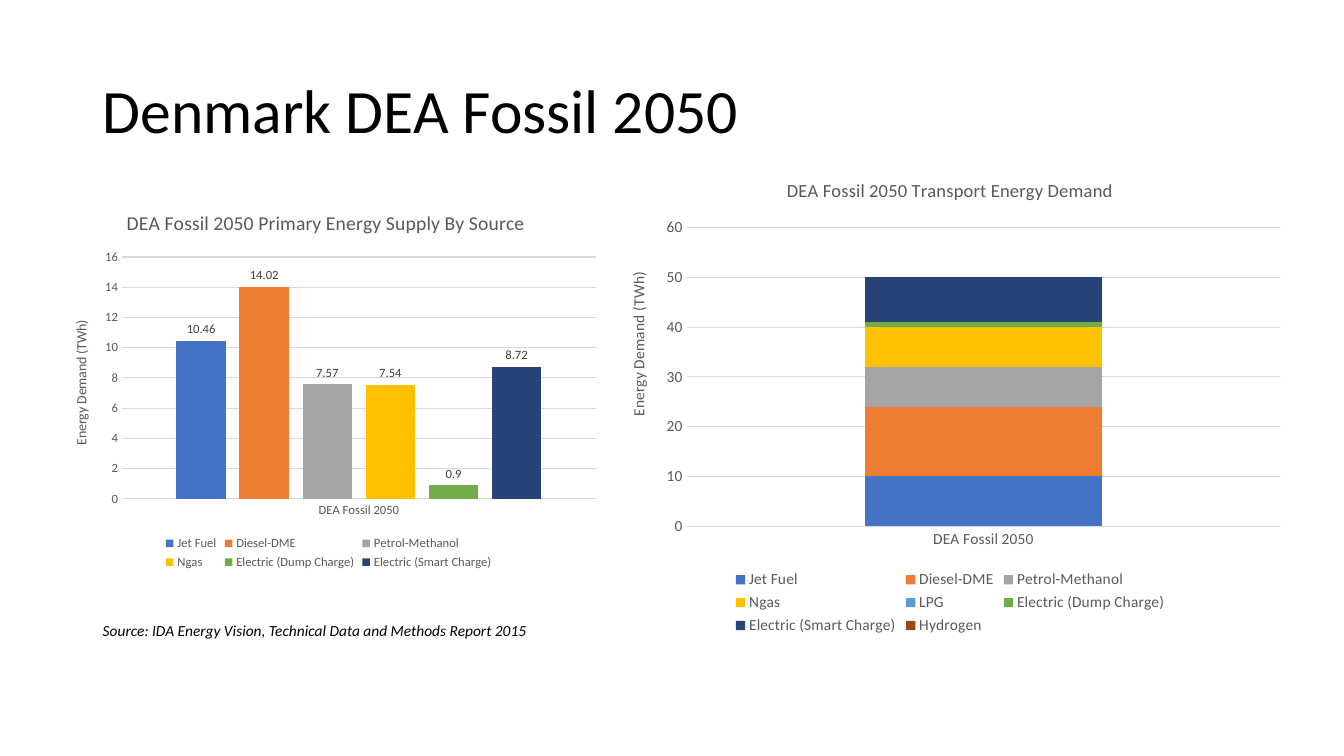
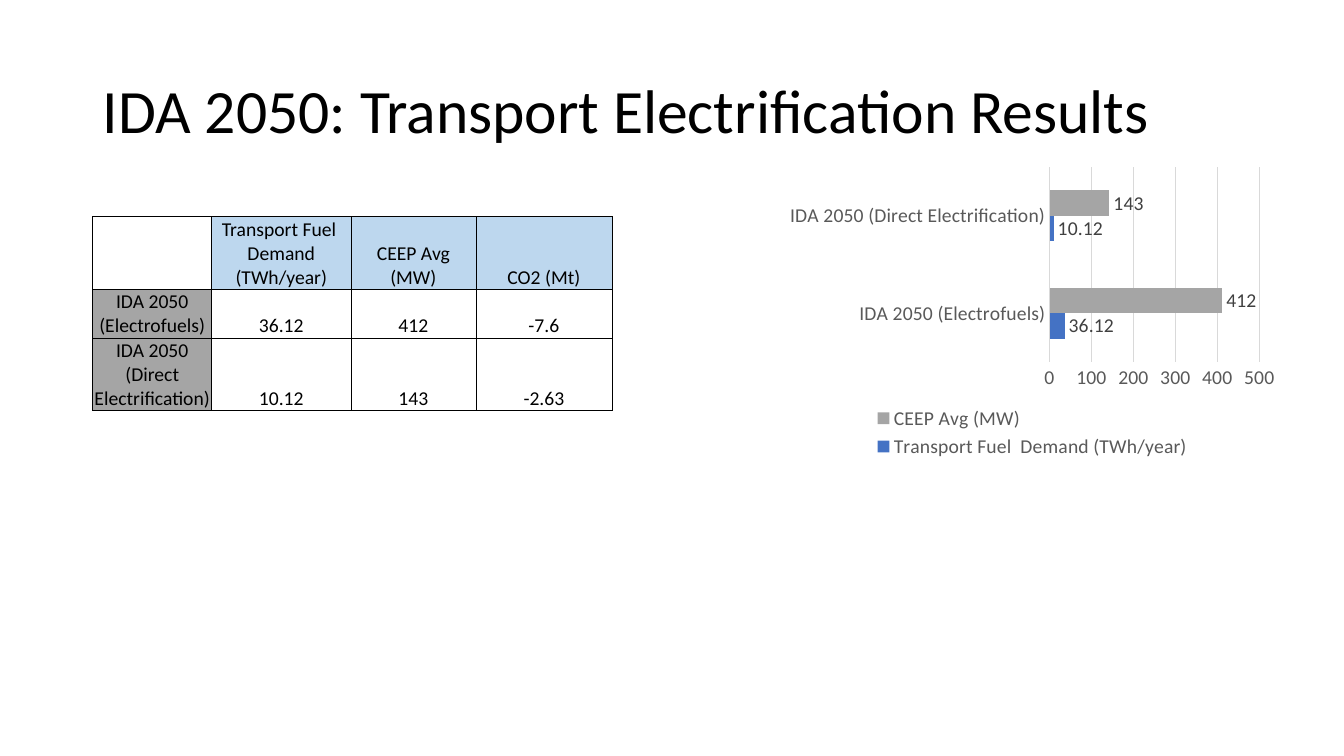
"""Build two slides on Danish transport energy scenarios for 2050."""
from lxml import etree
from pptx import Presentation
from pptx.chart.data import CategoryChartData
from pptx.dml.color import RGBColor
from pptx.enum.chart import XL_CHART_TYPE as ChartType
from pptx.enum.chart import XL_LABEL_POSITION as LabelPos
from pptx.enum.chart import XL_LEGEND_POSITION as LegendPos
from pptx.enum.chart import XL_TICK_MARK as TickMark
from pptx.enum.text import MSO_ANCHOR as Anchor
from pptx.enum.text import MSO_AUTO_SIZE as AutoSize
from pptx.enum.text import PP_ALIGN as Align
from pptx.oxml import parse_xml
from pptx.oxml.ns import nsdecls, qn
from pptx.util import Inches, Pt

FONT = "Calibri"
BLACK = RGBColor(0x00, 0x00, 0x00)
AXIS_TEXT = RGBColor(0x59, 0x59, 0x59)
LABEL_TEXT = RGBColor(0x40, 0x40, 0x40)
GRID = RGBColor(0xD9, 0xD9, 0xD9)
HEADER_BLUE = RGBColor(0xBD, 0xD7, 0xEE)
GRAY = RGBColor(0xA5, 0xA5, 0xA5)
BLUE = RGBColor(0x44, 0x72, 0xC4)
FUEL_COLORS = {
    "Jet Fuel": BLUE,
    "Diesel-DME": RGBColor(0xED, 0x7D, 0x31),
    "Petrol-Methanol": GRAY,
    "Ngas": RGBColor(0xFF, 0xC0, 0x00),
    "LPG": RGBColor(0x5B, 0x9B, 0xD5),
    "Electric (Dump Charge)": RGBColor(0x70, 0xAD, 0x47),
    "Electric (Smart Charge)": RGBColor(0x26, 0x44, 0x78),
    "Hydrogen": RGBColor(0x9E, 0x48, 0x0E),
}

FOSSIL_TITLE = "Denmark DEA Fossil 2050"
SOURCE = "Source: IDA Energy Vision, Technical Data and Methods Report 2015"
SCENARIO = ["DEA Fossil 2050"]
ENERGY_AXIS = "Energy Demand (TWh)"
SUPPLY = {
    "Jet Fuel": [10.46],
    "Diesel-DME": [14.02],
    "Petrol-Methanol": [7.57],
    "Ngas": [7.54],
    "Electric (Dump Charge)": [0.9],
    "Electric (Smart Charge)": [8.72],
}
DEMAND = {
    "Jet Fuel": [10],
    "Diesel-DME": [14],
    "Petrol-Methanol": [8],
    "Ngas": [8],
    "LPG": [0],
    "Electric (Dump Charge)": [1],
    "Electric (Smart Charge)": [9],
    "Hydrogen": [0],
}

RESULTS_TITLE = "IDA 2050: Transport Electrification Results"
FUEL_DEMAND = "Transport Fuel  Demand (TWh/year)"
CEEP = "CEEP Avg (MW)"
RESULTS = [
    ("", FUEL_DEMAND, CEEP, "CO2 (Mt)"),
    ("IDA 2050 (Electrofuels)", "36.12", "412", "-7.6"),
    ("IDA 2050 (Direct Electrification)", "10.12", "143", "-2.63"),
]
RESULT_COLORS = {FUEL_DEMAND: BLUE, CEEP: GRAY}
RESULT_SERIES = {
    name: [float(row[column]) for row in RESULTS[1:]]
    for column, name in enumerate(RESULTS[0])
    if name in RESULT_COLORS
}
COLUMN_WIDTHS = [1.18, 1.38, 1.24, 1.35]
ROW_HEIGHTS = [0.68, 0.46, 0.46]

CHARTS = {
    "demand": dict(
        kind=ChartType.COLUMN_STACKED, box=(6.02, 1.58, 6.81, 4.76),
        plot_box=(6.81, 2.26, 5.89, 2.96), categories=SCENARIO, series=DEMAND,
        colors=FUEL_COLORS, size=11, gap=150, overlap=100, top=60, step=10,
        title=("DEA Fossil 2050 Transport Energy Demand", 13.2, (7.77, 1.73)),
        axis_title=(ENERGY_AXIS, 11, (6.2, 2.67)),
    ),
    "supply": dict(
        kind=ChartType.COLUMN_CLUSTERED, box=(0.5, 1.92, 5.52, 3.77),
        plot_box=(1.21, 2.55, 4.7, 2.4), categories=SCENARIO, series=SUPPLY,
        colors=FUEL_COLORS, size=9, gap=219, overlap=-27, top=16, step=2,
        title=("DEA Fossil 2050 Primary Energy Supply By Source", 14, (1.22, 2.04)),
        axis_title=(ENERGY_AXIS, 10, (0.69, 3.15)), labels=True,
    ),
    "results": dict(
        kind=ChartType.BAR_CLUSTERED, box=(7.74, 1.59, 5, 3),
        plot_box=(10.41, 1.66, 2.08, 1.93),
        categories=[row[0] for row in RESULTS[1:]], series=RESULT_SERIES,
        colors=RESULT_COLORS, size=14, gap=182, top=500, step=100, labels=True,
    ),
}


def style_font(font, size, color, bold=False):
    font.name, font.size, font.bold = FONT, Pt(size), bold
    font.color.rgb = color


def add_run(paragraph, text, size, color=BLACK):
    run = paragraph.add_run()
    run.text = text
    style_font(run.font, size, color)
    return run


def place_part(element, index, chart_box, part_box):
    """Fix a chart part at a slide position given in inches."""
    for old in element.findall(qn("c:layout")):
        element.remove(old)
    layout = parse_xml(f"<c:layout {nsdecls('c')}><c:manualLayout/></c:layout>")
    manual = layout[0]
    settings = [("xMode", "edge"), ("yMode", "edge")]
    if len(part_box) == 4:
        settings.insert(0, ("layoutTarget", "inner"))
    left, top, width, height = chart_box
    settings += [("x", (part_box[0] - left) / width), ("y", (part_box[1] - top) / height)]
    settings += zip("wh", (part / whole for part, whole in zip(part_box[2:], (width, height))))
    for tag, value in settings:
        etree.SubElement(manual, qn(f"c:{tag}")).set("val", str(value))
    element.insert(index, layout)


def add_heading(owner, chart_box, text, size, position):
    """Title a chart or an axis."""
    owner.has_title = True
    heading = owner.chart_title if hasattr(owner, "chart_title") else owner.axis_title
    add_run(heading.text_frame.paragraphs[0], text, size, AXIS_TEXT)
    place_part(heading._element, 1, chart_box, position)


def add_energy_chart(slide, kind, box, plot_box, categories, series, colors, size, gap,
                     top, step, overlap=None, title=None, axis_title=None, labels=False):
    """Add a styled bar or column chart."""
    data = CategoryChartData()
    data.categories = categories
    for name, values in series.items():
        data.add_series(name, values)
    chart = slide.shapes.add_chart(kind, *map(Inches, box), data).chart
    style_font(chart.font, size, AXIS_TEXT)

    plot = chart.plots[0]
    plot.vary_by_categories = False
    plot.gap_width = gap
    if overlap is not None:
        plot.overlap = overlap
    for bars in plot.series:
        bars.format.fill.solid()
        bars.format.fill.fore_color.rgb = colors[bars.name]
        if labels:
            value_labels = bars.data_labels
            value_labels.show_value = True
            value_labels.position = LabelPos.OUTSIDE_END
            style_font(value_labels.font, size, LABEL_TEXT)

    category_axis, value_axis = chart.category_axis, chart.value_axis
    for axis in (category_axis, value_axis):
        axis.major_tick_mark = axis.minor_tick_mark = TickMark.NONE
        style_font(axis.tick_labels.font, size, AXIS_TEXT)
    value_axis.has_major_gridlines = True
    for line in (category_axis.format.line, value_axis.major_gridlines.format.line):
        line.color.rgb, line.width = GRID, Pt(0.75)
    value_axis.format.line.fill.background()
    value_axis.minimum_scale, value_axis.maximum_scale = 0, top
    value_axis.major_unit = step

    chart.has_legend = True
    chart.legend.position = LegendPos.BOTTOM
    chart.legend.include_in_layout = False
    style_font(chart.legend.font, size, AXIS_TEXT)
    chart.has_title = False
    if title:
        add_heading(chart, box, *title)
    if axis_title:
        add_heading(value_axis, box, *axis_title)
    place_part(chart._chartSpace.chart.plotArea, 0, box, plot_box)


def add_titled_slide(deck, text):
    slide = deck.slides.add_slide(deck.slide_layouts[5])
    title = slide.shapes.title
    title.left, title.top, title.width, title.height = map(Inches, (0.92, 0.4, 11.5, 1.45))
    title.text_frame.vertical_anchor = Anchor.MIDDLE
    paragraph = title.text_frame.paragraphs[0]
    paragraph.alignment, paragraph.line_spacing = Align.LEFT, 0.9
    add_run(paragraph, text, 44)
    return slide


def add_source(slide):
    source = slide.shapes.add_textbox(*map(Inches, (0.92, 6.11, 7.08, 0.29)))
    frame = source.text_frame
    frame.word_wrap, frame.auto_size = True, AutoSize.SHAPE_TO_FIT_TEXT
    add_run(frame.paragraphs[0], SOURCE, 11).font.italic = True


def outline_cell(cell):
    properties = cell._tc.get_or_add_tcPr()
    for side in ("lnL", "lnR", "lnT", "lnB"):
        properties.append(parse_xml(
            f'<a:{side} {nsdecls("a")} w="{Pt(0.5)}"><a:solidFill>'
            f'<a:srgbClr val="{BLACK}"/></a:solidFill></a:{side}>'))


def add_results_table(slide):
    table = slide.shapes.add_table(
        len(ROW_HEIGHTS), len(COLUMN_WIDTHS), Inches(0.92), Inches(2.15),
        Inches(sum(COLUMN_WIDTHS)), Inches(sum(ROW_HEIGHTS))).table
    table.first_row = table.horz_banding = False
    for column, width in zip(table.columns, COLUMN_WIDTHS):
        column.width = Inches(width)
    for row, height in zip(table.rows, ROW_HEIGHTS):
        row.height = Inches(height)
    for r, texts in enumerate(RESULTS):
        for c, text in enumerate(texts):
            cell = table.cell(r, c)
            outline_cell(cell)
            if text and (r == 0 or c == 0):
                cell.fill.solid()
                cell.fill.fore_color.rgb = HEADER_BLUE if r == 0 else GRAY
            else:
                cell.fill.background()
            cell.margin_left = cell.margin_right = cell.margin_top = Inches(0.01)
            cell.margin_bottom = 0
            cell.vertical_anchor = Anchor.BOTTOM
            if text:
                paragraph = cell.text_frame.paragraphs[0]
                paragraph.alignment = Align.CENTER
                add_run(paragraph, text, 14)


def main():
    deck = Presentation()
    deck.slide_width, deck.slide_height = Inches(13.33), Inches(7.5)

    fossil = add_titled_slide(deck, FOSSIL_TITLE)
    add_source(fossil)
    add_energy_chart(fossil, **CHARTS["demand"])
    add_energy_chart(fossil, **CHARTS["supply"])

    results = add_titled_slide(deck, RESULTS_TITLE)
    add_results_table(results)
    add_energy_chart(results, **CHARTS["results"])

    deck.save("out.pptx")


if __name__ == "__main__":
    main()
